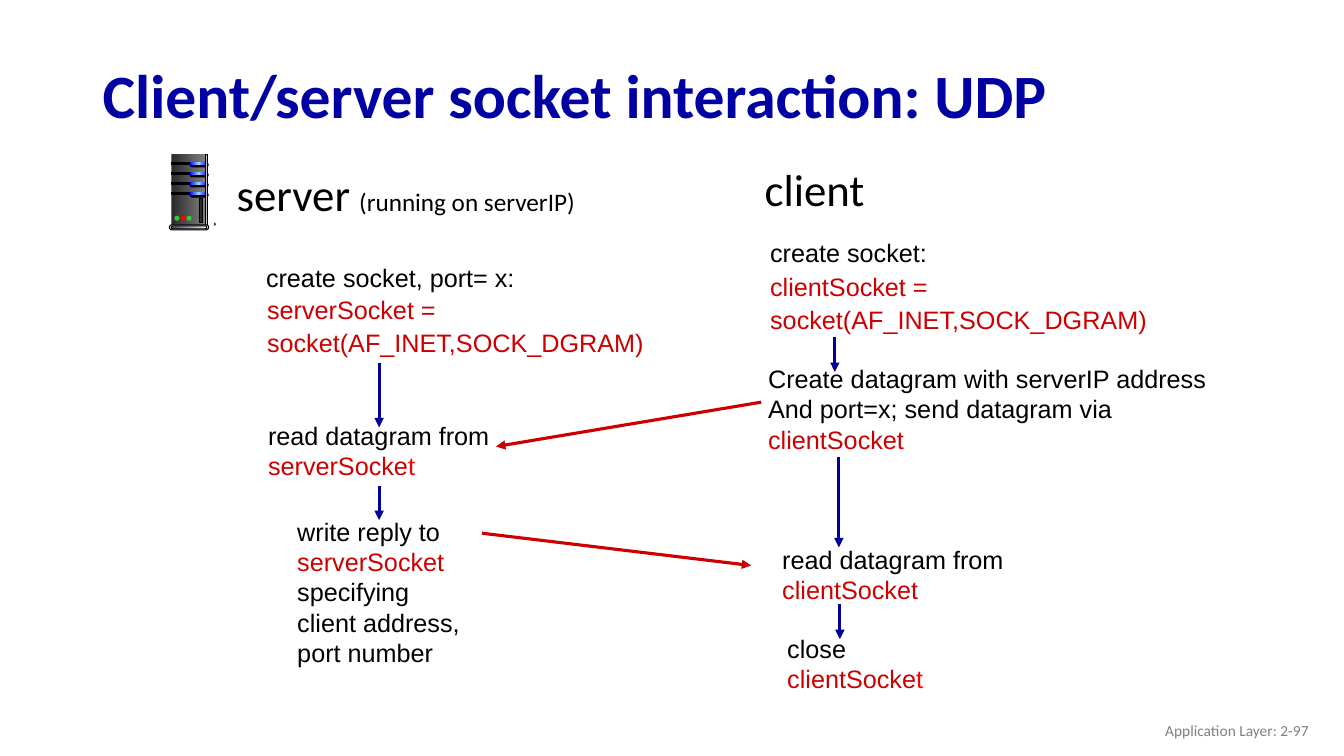
from dataclasses import dataclass
from typing import NamedTuple

from pptx import Presentation, util as u
from pptx.dml import color
from pptx.enum import shapes, text
from pptx.oxml import ns, xmlchemy as xml

BLACK, RED, BRIGHT_RED, NAVY = "000000", "CC0000", "FF0000", "000099"
CASE = ("292929", "808080")
LIGHT = ("0000FF", "99CCFF", "0000FF")
RECT, PILL, OVAL = (shapes.MSO_SHAPE.RECTANGLE, shapes.MSO_SHAPE.ROUNDED_RECTANGLE,
                    shapes.MSO_SHAPE.OVAL)
BREAK = "\n"


class Run(NamedTuple):
    words: str
    hue: str = BLACK
    size: float = 18
    font: str = "Arial"
    bold: bool = False


@dataclass
class Note:
    box: tuple
    paragraphs: list
    wrap: bool = False
    anchor: text.MSO_ANCHOR = text.MSO_ANCHOR.MIDDLE
    layout: dict | None = None
    gap: float = 0


class Arrow(NamedTuple):
    start: tuple
    end: tuple
    hue: str = NAVY


class Part(NamedTuple):
    kind: shapes.MSO_SHAPE
    box: tuple
    fill: str | tuple
    outlined: bool = False


class Outline(NamedTuple):
    points: list
    fill: str | tuple
    angle: float = 0


def rgb(hue: str) -> color.RGBColor:
    return color.RGBColor.from_string(hue)


def add_note(slide, note: Note) -> None:
    frame = slide.shapes.add_textbox(*map(u.Inches, note.box)).text_frame
    frame.word_wrap = note.wrap
    frame.vertical_anchor = note.anchor
    for index, runs in enumerate(note.paragraphs):
        paragraph = frame.add_paragraph() if index else frame.paragraphs[0]
        for name, value in (note.layout or {}).items():
            setattr(paragraph, name, value)
        if index and note.gap:
            paragraph.space_before = u.Pt(note.gap)
        for run in runs:
            if run == BREAK:
                paragraph.add_line_break()
                continue
            piece = paragraph.add_run()
            piece.text = run.words
            style = {"name": run.font, "size": u.Pt(run.size), "bold": run.bold}
            for name, value in style.items():
                setattr(piece.font, name, value)
            piece.font.color.rgb = rgb(run.hue)


def add_arrow(slide, arrow: Arrow) -> None:
    line = slide.shapes.add_connector(shapes.MSO_CONNECTOR.STRAIGHT,
                                      *map(u.Inches, arrow.start + arrow.end))
    line.line.color.rgb = rgb(arrow.hue)
    line.line.width = u.Pt(2.25)
    head = xml.OxmlElement("a:tailEnd")
    head.set("type", "triangle")
    line.line._get_or_add_ln().append(head)
    line.element.spPr.append(xml.OxmlElement("a:effectLst"))


def paint(shape, fill: str | tuple, outlined: bool = False, angle: float = 0) -> None:
    shape.shadow.inherit = False
    if isinstance(fill, str):
        shape.fill.solid()
        shape.fill.fore_color.rgb = rgb(fill)
    else:
        shape.fill.gradient()
        shape.fill.gradient_angle = -angle % 360
        stops = shape.element.spPr.find(".//" + ns.qn("a:gsLst"))
        stops.clear()
        for index, hue in enumerate(fill):
            stop = xml.OxmlElement("a:gs")
            stop.set("pos", str(index * 100000 // (len(fill) - 1)))
            tint = xml.OxmlElement("a:srgbClr")
            tint.set("val", hue)
            stop.append(tint)
            stops.append(stop)
    if outlined:
        shape.line.color.rgb = rgb(BLACK)
        shape.line.width = u.Pt(0.75)
    else:
        shape.line.fill.background()


def add_part(slide, part: Part) -> None:
    shape = slide.shapes.add_shape(part.kind, *map(u.Inches, part.box))
    if part.kind == PILL:
        shape.adjustments[0] = 0.5
    paint(shape, part.fill, part.outlined)


def add_outline(slide, outline: Outline) -> None:
    first, *rest = outline.points
    builder = slide.shapes.build_freeform(*first, scale=u.Inches(1))
    builder.add_line_segments(rest, close=True)
    paint(builder.convert_to_shape(), outline.fill, angle=outline.angle)


def bay(top: float) -> list:
    """One drive bay: groove, dark slot, blue light and side slat."""
    return [
        Part(RECT, (1.7, top, 0.19, 0.02), BLACK, True),
        Part(PILL, (1.88, top, 0.19, 0.05), BLACK),
        Part(PILL, (1.88, top, 0.18, 0.03), LIGHT),
        Outline([(2.05, top), (2.13, top + 0.03), (2.13, top + 0.06), (2.05, top + 0.03)], CASE),
    ]


TITLE = Note((0.92, 0.49, 11.5, 0.98),
             [[Run("Client/server socket interaction: UDP", "0000A3", 44, "Calibri", True)]],
             wrap=True, layout={"line_spacing": 0.9})
FOOTER = Note((10.08, 7.05, 3, 0.4), [[Run("Application Layer: 2-97", "808080", 11, "Calibri")]],
              wrap=True, layout={"alignment": text.PP_ALIGN.RIGHT})
CENTRED = {"alignment": text.PP_ALIGN.CENTER}
CODE = {"line_spacing": u.Pt(20)}
SOCKET_CALL = [Run("socket(AF_INET,SOCK_DGRAM)", RED)]
READ = [Run("read datagram from")]
SERVER_END = [Run("serverSocke", RED), Run("t", BRIGHT_RED)]
CLIENT_END = [Run("clientSocke", RED), Run("t", BRIGHT_RED)]

CLIENT_STEPS = [
    Note((7.48, 1.55, 1.2, 0.64), [[Run("client", size=32, font="Calibri")]], layout=CENTRED),
    Note((7.54, 2.31, 1.77, 0.4), [[Run("create socket:")]], anchor=text.MSO_ANCHOR.TOP),
    Note((7.54, 2.65, 3.98, 0.73), [[Run("clientSocket =", RED)], SOCKET_CALL],
         layout=CODE, gap=3.6),
    Note((7.52, 3.55, 4.59, 1.01),
         [[Run("Create datagram with serverIP address")],
          [Run("And port=x; send datagram via"), BREAK, Run("clientSocket", RED)]]),
    Note((7.66, 5.34, 2.42, 0.71), [READ, [Run("clientSocket", RED)]]),
    Note((7.71, 6.23, 1.56, 0.71), [[Run("close")], CLIENT_END]),
]
SERVER_STEPS = [
    Note((2.23, 1.6, 3.59, 0.64),
         [[Run("server", size=32, font="Calibri"), Run(" ", size=28, font="Calibri"),
           Run("(running on serverIP)", font="Calibri")]], layout=CENTRED),
    Note((2.54, 2.55, 2.69, 0.4), [[Run("create socket, port= x:")]]),
    Note((2.55, 2.88, 3.98, 0.73), [[Run("serverSocket =", RED)], SOCKET_CALL],
         layout=CODE, gap=3.6),
    Note((2.56, 4.11, 2.42, 0.71), [READ, SERVER_END]),
    Note((2.85, 5.06, 1.84, 1.62),
         [[Run("write reply to")], [Run("serverSocket", RED)],
          [Run("specifying "), BREAK, Run("client address,")], [Run("port number")]]),
]
ARROWS = [
    Arrow((8.28, 3.34), (8.28, 3.69)),
    Arrow((8.32, 4.53), (8.32, 5.43)),
    Arrow((8.33, 5.99), (8.33, 6.34)),
    Arrow((3.76, 3.6), (3.76, 4.24)),
    Arrow((3.76, 4.82), (3.76, 5.16)),
    Arrow((7.55, 3.99), (4.92, 4.43), RED),
    Arrow((4.78, 5.29), (7.45, 5.61), RED),
]
SERVER_TOWER = [
    Outline([(2.06, 1.53), (2.14, 1.62), (2.13, 2.22), (2.04, 2.25)], ("DDDDDD", "333333")),
    Part(RECT, (1.7, 1.53, 0.34, 0.72), CASE),
    Outline([(2.06, 1.57), (2.11, 1.63), (2.07, 2.23), (2.06, 2.23)], ("808080", "F8F8F8")),
    *(piece for row in range(4) for piece in bay(1.61 + 0.1 * row)),
    Part(RECT, (2.04, 1.53, 0.02, 0.72), ("333333", "DDDDDD", "333333"), True),
    Part(OVAL, (2.12, 2.21, 0.02, 0.03), "333333"),
    Outline([(2.05, 2.24), (2.06, 2.28), (2.13, 2.24), (2.13, 2.21)], "333333"),
    Part(PILL, (1.68, 2.23, 0.39, 0.05), "DDDDDD", True),
    Part(PILL, (1.7, 2.24, 0.35, 0.03), ("44546A", "E7E6E6"), True),
    *(Part(OVAL, (1.73 + 0.06 * i, 2.14, 0.05, 0.05), hue)
      for i, hue in enumerate(("33CC33", BRIGHT_RED, "33CC33"))),
    Part(RECT, (1.98, 1.97, 0.03, 0.24), "292929", True),
]
CLIENT_SCREEN = Outline([(9.32, 1.55), (8.98, 1.56), (8.92, 1.85), (9.23, 1.92)],
                        (NAVY, "FFFFFF"), 135)


def main() -> None:
    deck = Presentation()
    deck.slide_width, deck.slide_height = u.Inches(13.33), u.Inches(7.5)
    slide = deck.slides.add_slide(deck.slide_layouts[6])
    # Title, both columns of steps, footer
    for note in [TITLE, *CLIENT_STEPS, *SERVER_STEPS, FOOTER]:
        add_note(slide, note)
    # Flow of control and datagrams
    for arrow in ARROWS:
        add_arrow(slide, arrow)
    # Machine icons
    for piece in [*SERVER_TOWER, CLIENT_SCREEN]:
        (add_part if isinstance(piece, Part) else add_outline)(slide, piece)
    deck.save("out.pptx")


if __name__ == "__main__":
    main()
